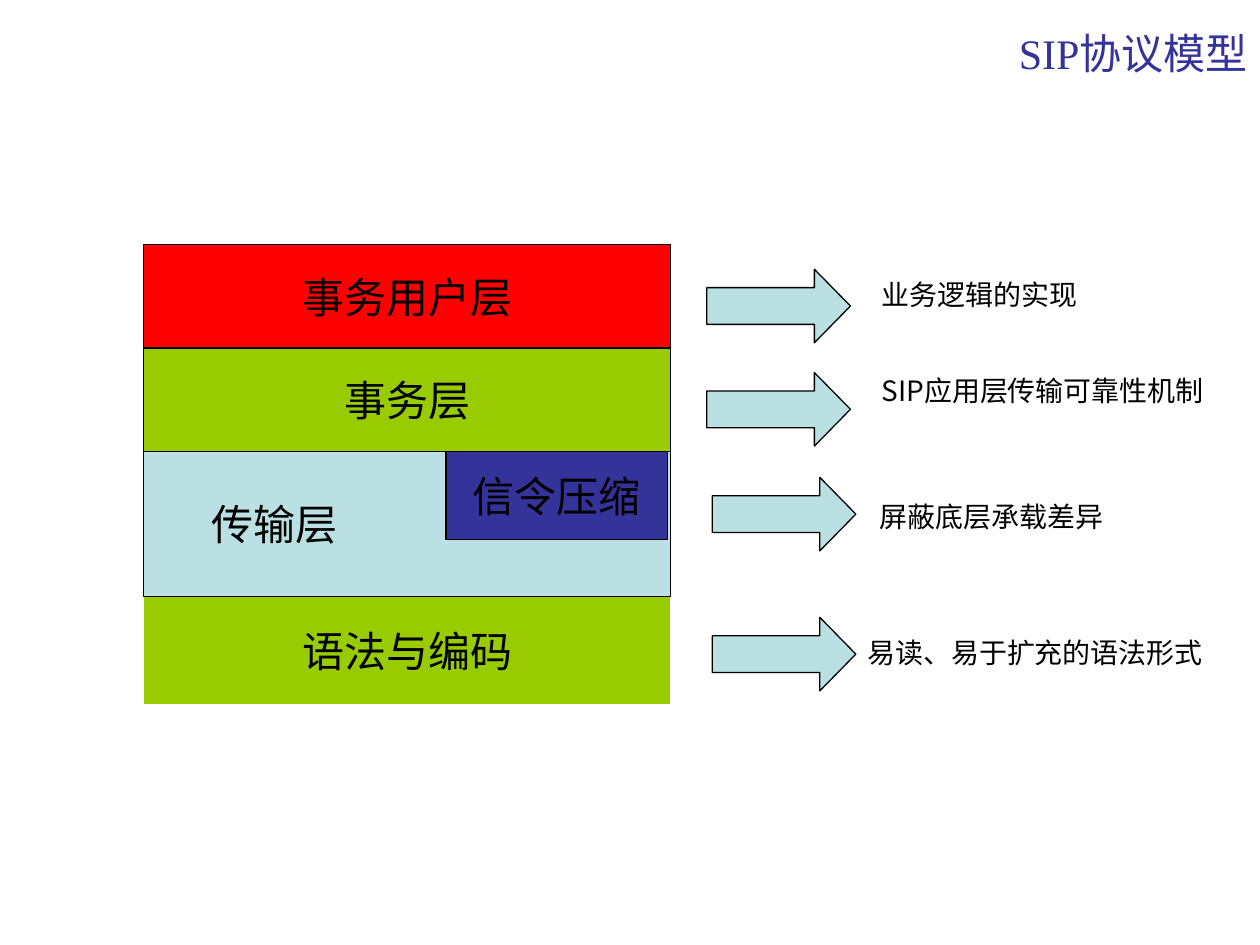
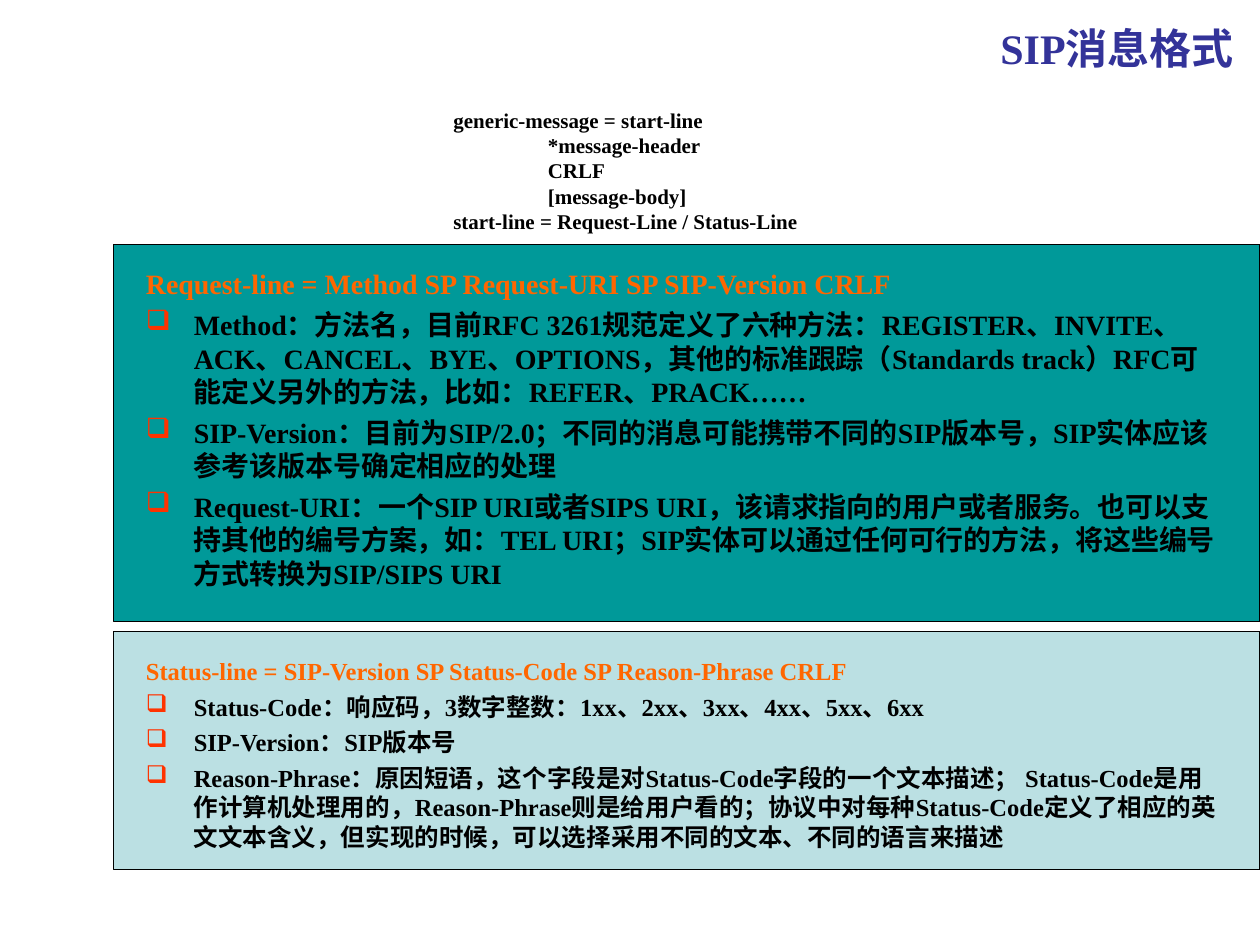
import pptx
import pptx.util
import pptx.dml.color
import pptx.enum.shapes
import pptx.enum.text
import pptx.oxml.ns
from lxml import etree

Pt = pptx.util.Pt
ALIGN = pptx.enum.text.PP_ALIGN
ANCHOR = pptx.enum.text.MSO_ANCHOR
SHAPE = pptx.enum.shapes.MSO_SHAPE
COLORS = {
    "title": "333399",
    "black": "000000",
    "white": "FFFFFF",
    "red": "FF0000",
    "green": "99CC00",
    "pale": "BBE0E3",
    "teal": "009999",
    "orange": "FF6600",
    "bullet": "FF3300",
}
SERIF = "Times New Roman"
SANS = "Noto Sans CJK SC"
HANGING = 27.36


def add_block(slide, kind, box, fill, line="black"):
    shape = slide.shapes.add_shape(kind, *[Pt(length) for length in box])
    shape.shadow.inherit = False
    shape.fill.solid()
    shape.fill.fore_color.rgb = pptx.dml.color.RGBColor.from_string(COLORS[fill])
    shape.line.color.rgb = pptx.dml.color.RGBColor.from_string(COLORS[line])
    shape.line.width = Pt(0.75)
    return shape


def write_text(shape, lines, size, font, color="black", bold=False, align=ALIGN.LEFT,
               anchor=ANCHOR.TOP, space=0, line_spacing=None):
    frame = shape.text_frame
    frame.word_wrap = True
    frame.vertical_anchor = anchor
    for index, (text, left, hanging, bullet) in enumerate(lines):
        paragraph = frame.paragraphs[0] if index == 0 else frame.add_paragraph()
        paragraph.text = text
        properties = paragraph._p.get_or_add_pPr()
        properties.set("marL", str(Pt(left)))
        properties.set("indent", str(-Pt(hanging)))
        if bullet:
            bullet_color = etree.SubElement(properties, pptx.oxml.ns.qn("a:buClr"))
            etree.SubElement(bullet_color, pptx.oxml.ns.qn("a:srgbClr"), val=COLORS["bullet"])
            etree.SubElement(properties, pptx.oxml.ns.qn("a:buChar"), char=bullet)
        paragraph.alignment = align
        paragraph.space_before = Pt(space if index else 0)
        if line_spacing:
            paragraph.line_spacing = line_spacing
        paragraph.font.size = Pt(size)
        paragraph.font.name = font
        paragraph.font.bold = bold
        text_color = "orange" if color == "heading" and index == 0 else color
        text_color = "black" if text_color == "heading" else text_color
        paragraph.font.color.rgb = pptx.dml.color.RGBColor.from_string(COLORS[text_color])


presentation = pptx.Presentation()
presentation.slide_width = Pt(720)
presentation.slide_height = Pt(540)

titles = [
    ("SIP协议模型", (563, 16.6, 157, 27.4), False),
    ("SIP消息格式", (59.8, 9.4, 652.3, 36), True),
]
slides = []
for title, box, bold in titles:
    slide = presentation.slides.add_slide(presentation.slide_layouts[6])
    title_box = slide.shapes.add_textbox(*[Pt(length) for length in box])
    write_text(title_box, [(title, 0, 0, None)], 24, SERIF, "title", bold, ALIGN.RIGHT, ANCHOR.MIDDLE)
    slides.append(slide)
model_slide, message_slide = slides

layers = [
    ("语法与编码", 61.9, "green", "white", ALIGN.CENTER, 0),
    ("传输层", 82.8, "pale", "black", ALIGN.LEFT, 31.5),
    ("事务层", 59.2, "green", "black", ALIGN.CENTER, 0),
    ("事务用户层", 59.2, "red", "black", ALIGN.CENTER, 0),
]
layer_top = 402.8
for name, height, fill, line, align, left in layers:
    layer_top -= height
    layer = add_block(model_slide, SHAPE.RECTANGLE, (82.1, layer_top, 301, height), fill, line)
    write_text(layer, [(name, left, 0, None)], 24, SANS, align=align, anchor=ANCHOR.MIDDLE)

compression = add_block(model_slide, SHAPE.RECTANGLE, (254.9, 258.1, 126.7, 50.4), "title")
write_text(compression, [("信令压缩", 0, 0, None)], 24, SANS, align=ALIGN.CENTER, anchor=ANCHOR.MIDDLE)

roles = [
    ("业务逻辑的实现", 403.9, 153.9, 496.8, 154.8, 187),
    ("SIP应用层传输可靠性机制", 403.9, 212.9, 496.8, 210.1, 209),
    ("屏蔽底层承载差异", 407, 272.8, 495.7, 281.8, 176.4),
    ("易读、易于扩充的语法形式", 407, 352.8, 488.7, 359.4, 210.2),
]
for role, arrow_left, arrow_top, text_left, text_top, width in roles:
    arrow = add_block(model_slide, SHAPE.RIGHT_ARROW, (arrow_left, arrow_top, 82.1, 42), "pale")
    arrow.adjustments[1] = 0.49
    label = model_slide.shapes.add_textbox(Pt(text_left), Pt(text_top), Pt(width), Pt(26.6))
    write_text(label, [(role, 0, 0, None)], 16, SANS)

grammar = [
    ("generic-message = start-line", HANGING, HANGING, None),
    ("*message-header", 54, 0, None),
    ("CRLF", 54, 0, None),
    ("[message-body]", 54, 0, None),
    ("start-line = Request-Line / Status-Line", HANGING, HANGING, None),
]
grammar_box = message_slide.shapes.add_textbox(Pt(252), Pt(60.5), Pt(232.6), Pt(77))
write_text(grammar_box, grammar, 12, SERIF, bold=True, space=3, line_spacing=0.8)

panels = [
    ("teal", 139.7, 215.3, 149, 195.1, 16, 4, [
        "Request-line = Method SP Request-URI SP SIP-Version CRLF",
        "Method：方法名，目前RFC 3261规范定义了六种方法：REGISTER、INVITE、ACK、CANCEL、BYE、OPTIONS，"
        "其他的标准跟踪（Standards track）RFC可能定义另外的方法，比如：REFER、PRACK……",
        "SIP-Version：目前为SIP/2.0；不同的消息可能携带不同的SIP版本号，SIP实体应该参考该版本号确定相应的处理",
        "Request-URI：一个SIP URI或者SIPS URI，该请求指向的用户或者服务。也可以支持其他的编号方案，"
        "如：TEL URI；SIP实体可以通过任何可行的方法，将这些编号方式转换为SIP/SIPS URI",
    ]),
    ("pale", 360.7, 136.1, 371.5, 119.5, 14, 3.5, [
        "Status-line = SIP-Version SP Status-Code SP Reason-Phrase CRLF",
        "Status-Code：响应码，3数字整数：1xx、2xx、3xx、4xx、5xx、6xx",
        "SIP-Version：SIP版本号",
        "Reason-Phrase：原因短语，这个字段是对Status-Code字段的一个文本描述； "
        "Status-Code是用作计算机处理用的，Reason-Phrase则是给用户看的；协议中对每种Status-Code定义了"
        "相应的英文文本含义，但实现的时候，可以选择采用不同的文本、不同的语言来描述",
    ]),
]
for fill, top, height, text_top, text_height, size, space, texts in panels:
    add_block(message_slide, SHAPE.RECTANGLE, (64.8, top, 655.2, height), fill)
    text_box = message_slide.shapes.add_textbox(Pt(76.3), Pt(text_top), Pt(629.3), Pt(text_height))
    lines = [(text, HANGING, HANGING, "❑" if index else None) for index, text in enumerate(texts)]
    write_text(text_box, lines, size, SERIF, "heading", True, space=space)

presentation.save("out.pptx")
